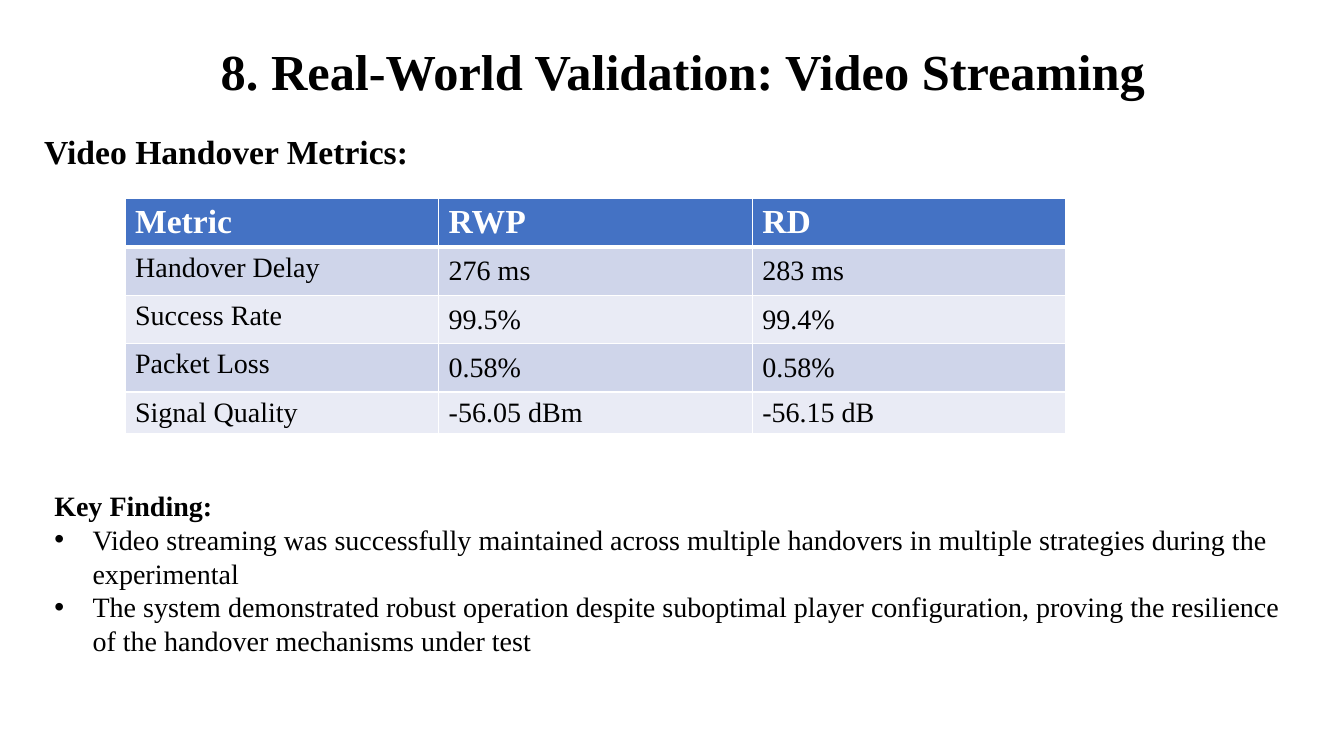
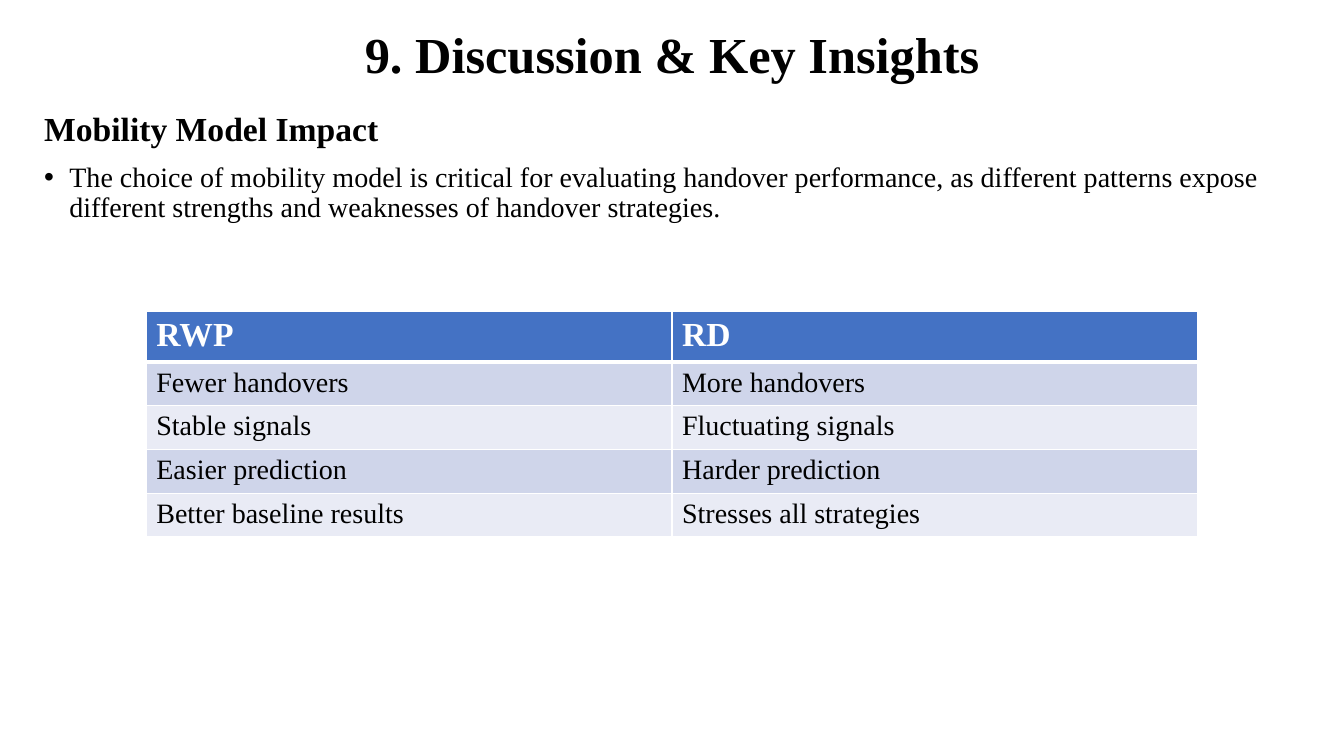
from lxml import etree
from pptx import Presentation
from pptx import util as u
from pptx.dml.color import RGBColor
from pptx.enum import text
from pptx.oxml import ns

WIDTH, HEIGHT = u.Inches(13.33), u.Inches(7.5)
FONT = "Times New Roman"
BLACK, WHITE = "000000", "FFFFFF"
HEADER, BANDS = "4472C4", ("CFD5EA", "E9EBF5")
TITLE, HEADING, BODY = 36, 24, 20
MARGIN = 2.55


def across(percent):
    return u.Emu(round(WIDTH * percent / 100))


def down(percent):
    return u.Emu(round(HEIGHT * percent / 100))


def area(left, top, width, height):
    return across(left), down(top), across(width), down(height)


def color(value):
    return RGBColor.from_string(value)


def add_span(para, wording, size, bold=False, ink=BLACK):
    span = para.add_run()
    span.text = wording
    span.font.name = FONT
    span.font.size = u.Pt(size)
    span.font.bold = bold
    span.font.color.rgb = color(ink)


def indent(para, left, bullet=False):
    properties = para._p.get_or_add_pPr()
    properties.set("marL", str(u.Inches(left)))
    properties.set("indent", str(-u.Inches(left) if bullet else 0))
    if bullet:
        etree.SubElement(properties, ns.qn("a:buFont")).set("typeface", "Arial")
        etree.SubElement(properties, ns.qn("a:buChar")).set("char", "•")


def add_box(page, place):
    frame = page.shapes.add_textbox(*area(*place)).text_frame
    frame.word_wrap = True
    frame.auto_size = text.MSO_AUTO_SIZE.NONE
    return frame


def add_title(page, place, wording, offset):
    frame = add_box(page, place)
    frame.vertical_anchor = text.MSO_ANCHOR.MIDDLE
    para = frame.paragraphs[0]
    para.line_spacing = 0.9
    indent(para, offset)
    add_span(para, wording, TITLE, bold=True)


def add_points(page, place, heading, size, points=(), hang=0.25, spaced=True):
    frame = add_box(page, place)
    for number, wording in enumerate((heading, *points)):
        para = frame.add_paragraph() if number else frame.paragraphs[0]
        if spaced:
            para.line_spacing = 0.9
            para.space_before = u.Pt(10)
        if number:
            indent(para, hang, bullet=True)
        add_span(para, wording, BODY if number else size, bold=not number)
    return frame


def add_borders(cell, top, bottom):
    properties = cell._tc.get_or_add_tcPr()
    for side, points in (("L", 1), ("R", 1), ("T", top), ("B", bottom)):
        line = etree.SubElement(properties, ns.qn(f"a:ln{side}"), w=str(u.Pt(points)))
        fill = etree.SubElement(line, ns.qn("a:solidFill"))
        etree.SubElement(fill, ns.qn("a:srgbClr"), val=WHITE)


def add_grid(page, left, top, width, row_heights, rows, padded_rows=()):
    columns = len(rows[0])
    place = area(left, top, width, sum(row_heights))
    table = page.shapes.add_table(len(rows), columns, *place).table
    for column in table.columns:
        column.width = across(width / columns)
    for r, wordings in enumerate(rows):
        table.rows[r].height = down(row_heights[r])
        for c, wording in enumerate(wordings):
            cell = table.cell(r, c)
            add_borders(cell, 3 if r == 1 else 1, 1 if r else 3)
            cell.fill.solid()
            cell.fill.fore_color.rgb = color(BANDS[(r - 1) % 2] if r else HEADER)
            if c and r in padded_rows:
                cell.vertical_anchor = text.MSO_ANCHOR.MIDDLE
                cell.margin_top = cell.margin_bottom = u.Inches(0.08)
            size, ink = (BODY, BLACK) if r else (HEADING, WHITE)
            add_span(cell.text_frame.paragraphs[0], wording, size, not r, ink)


def build_validation(page):
    add_title(page, (MARGIN, 2.53, 94.9, 14.67),
              "8. Real-World Validation: Video Streaming", 1.75)
    add_points(page, (MARGIN, 17.2, 95.8, 80.27), "Video Handover Metrics:", HEADING)
    add_grid(page, 9.3, 26.27, 70, [6.4] * 4 + [5.47], [
        ("Metric", "RWP", "RD"),
        ("Handover Delay", "276 ms", "283 ms"),
        ("Success Rate", "99.5%", "99.4%"),
        ("Packet Loss", "0.58%", "0.58%"),
        ("Signal Quality", "-56.05 dBm", "-56.15 dB"),
    ], padded_rows=(1, 2, 3))
    finding = add_points(page, (3.3, 64, 93.47, 23.73), "Key Finding:", BODY, (
        "Video streaming was successfully maintained across multiple handovers "
        "in multiple strategies during the experimental",
        "The system demonstrated robust operation despite suboptimal player configuration, "
        "proving the resilience of the handover mechanisms under test",
    ), hang=0.38, spaced=False)
    finding.auto_size = text.MSO_AUTO_SIZE.SHAPE_TO_FIT_TEXT


def build_discussion(page):
    add_title(page, (3.9, 0.93, 93.55, 13.33), "9. Discussion & Key Insights", 3)
    add_points(page, (MARGIN, 14.27, 94.9, 83.73), "Mobility Model Impact", HEADING, (
        "The choice of mobility model is critical for evaluating handover performance, "
        "as different patterns expose different strengths and weaknesses of handover strategies.",
    ))
    add_grid(page, 10.88, 41.2, 78.24, [5.47] * 5, [
        ("RWP", "RD"),
        ("Fewer handovers", "More handovers"),
        ("Stable signals", "Fluctuating signals"),
        ("Easier prediction", "Harder prediction"),
        ("Better baseline results", "Stresses all strategies"),
    ])


def main():
    deck = Presentation()
    deck.slide_width, deck.slide_height = WIDTH, HEIGHT
    for build in (build_validation, build_discussion):
        build(deck.slides.add_slide(deck.slide_layouts[6]))
    deck.save("out.pptx")


if __name__ == "__main__":
    main()
